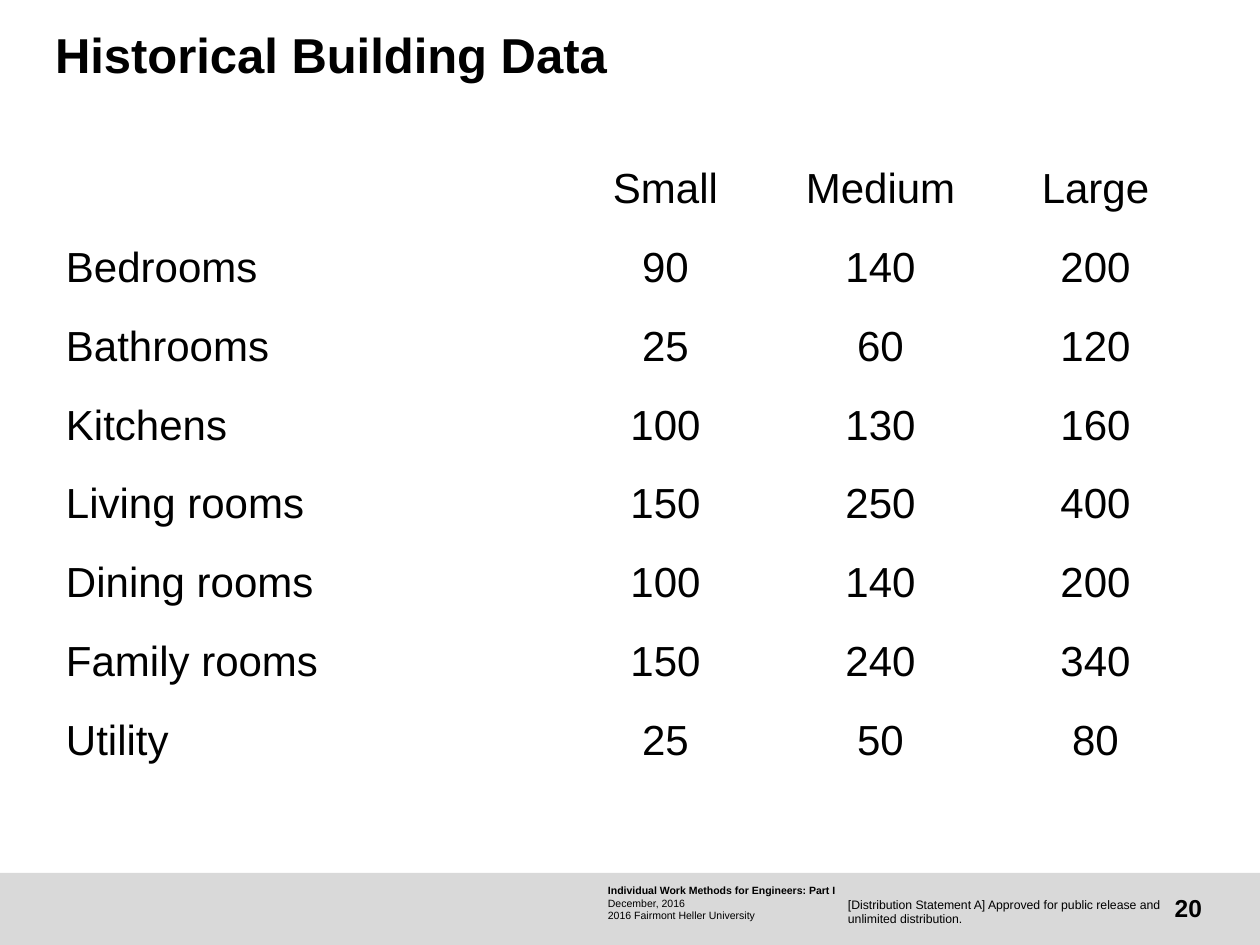
from pptx import Presentation
from pptx.dml.color import RGBColor
from pptx.enum.shapes import MSO_SHAPE
from pptx.enum.text import MSO_ANCHOR, MSO_AUTO_SIZE, PP_ALIGN
from pptx.util import Emu, Pt

PX = 914400 // 126
BLACK = RGBColor(0x00, 0x00, 0x00)
FOOTER_GRAY = RGBColor(0xD9, 0xD9, 0xD9)
FONT = "Arial"

ROOM_SIZES = [
    ("", "Small", "Medium", "Large"),
    ("Bedrooms", "90", "140", "200"),
    ("Bathrooms", "25", "60", "120"),
    ("Kitchens", "100", "130", "160"),
    ("Living rooms", "150", "250", "400"),
    ("Dining rooms", "100", "140", "200"),
    ("Family rooms", "150", "240", "340"),
    ("Utility", "25", "50", "80"),
]
COLUMN_WIDTHS = (503, 215, 215, 215)
ROW_HEIGHT = 79


def px(*lengths):
    """Turn pixel lengths into EMU."""
    return [Emu(length * PX) for length in lengths]


def style_paragraph(paragraph, size, bold=False, align=PP_ALIGN.LEFT):
    """Set the font and alignment of a paragraph."""
    paragraph.alignment = align
    paragraph.font.name = FONT
    paragraph.font.size = Pt(size)
    paragraph.font.bold = bold
    paragraph.font.color.rgb = BLACK


def clear_margins(holder):
    """Remove the inner margins of a text frame or a cell."""
    holder.margin_left = holder.margin_right = 0
    holder.margin_top = holder.margin_bottom = 0


def set_title(slide, text, box):
    """Place and format the title placeholder."""
    title = slide.shapes.title
    title.left, title.top, title.width, title.height = px(*box)
    frame = title.text_frame
    clear_margins(frame)
    frame.auto_size = MSO_AUTO_SIZE.NONE
    frame.vertical_anchor = MSO_ANCHOR.TOP
    frame.text = text
    style_paragraph(frame.paragraphs[0], 28, bold=True)
    frame.paragraphs[0].line_spacing = 0.9


def add_footer_bar(slide, box):
    """Add the gray band along the bottom."""
    bar = slide.shapes.add_shape(MSO_SHAPE.RECTANGLE, *px(*box))
    bar.shadow.inherit = False
    bar.fill.solid()
    bar.fill.fore_color.rgb = FOOTER_GRAY
    bar.line.fill.background()


def add_text(slide, box, lines, size, align=PP_ALIGN.LEFT, anchor=MSO_ANCHOR.TOP):
    """Add a text box from pairs of text and boldness."""
    frame = slide.shapes.add_textbox(*px(*box)).text_frame
    clear_margins(frame)
    frame.word_wrap = True
    frame.vertical_anchor = anchor
    frame.text = "\n".join(text for text, _ in lines)
    for paragraph, (_, bold) in zip(frame.paragraphs, lines):
        style_paragraph(paragraph, size, bold, align)


def add_room_table(slide, left, top):
    """Add the unfilled table of room sizes."""
    height = ROW_HEIGHT * len(ROOM_SIZES)
    table = slide.shapes.add_table(
        len(ROOM_SIZES), len(COLUMN_WIDTHS), *px(left, top, sum(COLUMN_WIDTHS), height)
    ).table
    table.first_row = table.horz_banding = False
    for column, width in zip(table.columns, px(*COLUMN_WIDTHS)):
        column.width = width
    for row_index, values in enumerate(ROOM_SIZES):
        for column_index, value in enumerate(values):
            cell = table.cell(row_index, column_index)
            cell.fill.background()
            clear_margins(cell)
            cell.vertical_anchor = MSO_ANCHOR.MIDDLE
            cell.text = value
            align = PP_ALIGN.CENTER if column_index else PP_ALIGN.LEFT
            style_paragraph(cell.text_frame.paragraphs[0], 24, align=align)
            if column_index == 0:
                cell.margin_left = px(11)[0]


def main():
    """Build and save the slide."""
    presentation = Presentation()
    presentation.slide_width, presentation.slide_height = px(1260, 945)
    slide = presentation.slides.add_slide(presentation.slide_layouts[5])
    add_footer_bar(slide, (0, 873, 1260, 72))
    course_lines = [
        ("Individual Work Methods for Engineers: Part I", True),
        ("December, 2016", False),
        ("2016 Fairmont Heller University", False),
    ]
    add_text(slide, (608, 884, 278, 38), course_lines, 6)
    add_text(slide, (1131, 883, 71, 50), [("20", True)], 14, PP_ALIGN.RIGHT, MSO_ANCHOR.MIDDLE)
    statement = "[Distribution Statement A] Approved for public release and unlimited distribution."
    add_text(slide, (848, 897, 320, 30), [(statement, False)], 7)
    set_title(slide, "Historical Building Data", (55, 31, 1047, 92))
    add_room_table(slide, 55, 149)
    presentation.save("out.pptx")


if __name__ == "__main__":
    main()
